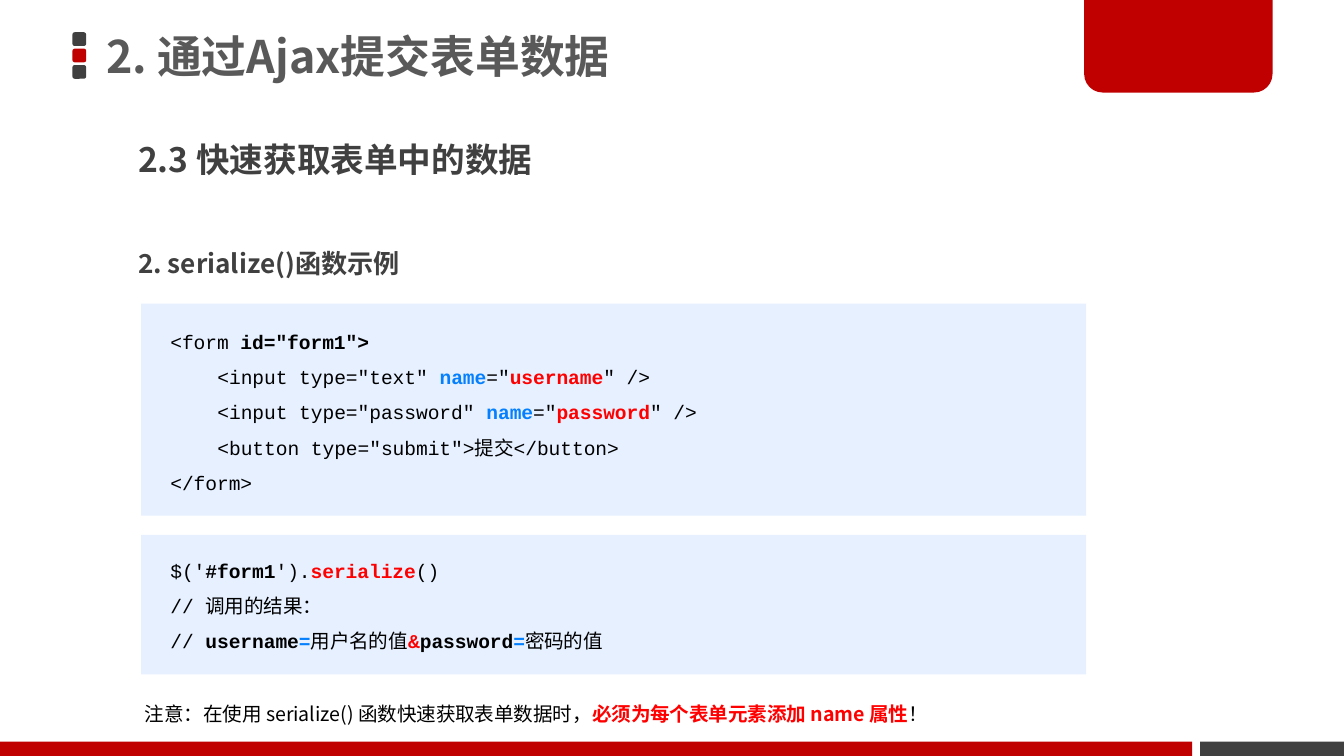
from dataclasses import dataclass

from lxml import etree
from pptx import Presentation
from pptx.dml.color import RGBColor
from pptx.enum import shapes, text
from pptx.oxml.ns import qn
from pptx.util import Cm, Pt


@dataclass(frozen=True)
class Theme:
    red: str = "C00000"
    dark: str = "404040"
    gray: str = "595959"
    pale: str = "E6F0FF"
    black: str = "000000"
    blue: str = "047FFD"
    alert: str = "FF0000"
    sans: str = "Noto Sans CJK SC"
    mono: str = "Courier New"
    title: float = 24
    sub: float = 18
    head: float = 14
    body: float = 10.5


class Deck:
    def __init__(self, theme):
        self.theme = theme
        self.prs = Presentation()
        self.prs.slide_width, self.prs.slide_height = Cm(25.4), Cm(14.29)
        self.slide = self.prs.slides.add_slide(self.prs.slide_layouts[5])

    def block(self, kind, box, color, *adjust):
        shape = self.slide.shapes.add_shape(kind, *map(Cm, box))
        shape.shadow.inherit = False
        shape.fill.solid()
        shape.fill.fore_color.rgb = RGBColor.from_string(color)
        shape.line.fill.background()
        for i, value in enumerate(adjust):
            shape.adjustments[i] = value

    def run(self, para, words, size, font, color, bold):
        run = para.add_run()
        run.text = words
        run.font.size, run.font.bold, run.font.name = Pt(size), bold, font
        run.font.color.rgb = RGBColor.from_string(color)
        # East Asian glyphs always use the sans face
        face = etree.SubElement(run.font._element, qn("a:ea"))
        face.set("typeface", self.theme.sans)

    def fill(self, shape, lines, size, font, space, before=0):
        """Each line is (indent in cm, [(words, color, bold), ...])."""
        frame = shape.text_frame
        frame.word_wrap = True
        frame.auto_size = text.MSO_AUTO_SIZE.NONE
        for i, (indent, runs) in enumerate(lines):
            para = frame.add_paragraph() if i else frame.paragraphs[0]
            para.alignment = text.PP_ALIGN.LEFT
            para.line_spacing, para.space_before = space, Pt(before)
            if indent:
                para._p.get_or_add_pPr().set("marL", str(Cm(indent)))
            for words, color, bold in runs:
                self.run(para, words, size, font, color, bold)

    def title(self, box, words):
        shape = self.slide.shapes.title
        shape.left, shape.top, shape.width, shape.height = map(Cm, box)
        shape.text_frame.vertical_anchor = text.MSO_ANCHOR.MIDDLE
        line = (0, [(words, self.theme.gray, True)])
        self.fill(shape, [line], self.theme.title, self.theme.sans, 0.9)

    def label(self, box, lines, size, font, space, before=0):
        shape = self.slide.shapes.add_textbox(*map(Cm, box))
        self.fill(shape, lines, size, font, space, before)

    def head(self, box, words, size):
        line = (0, [(words, self.theme.dark, True)])
        self.label(box, [line], size, self.theme.sans, 0.9, 7.5)

    def code(self, top, height, inset, lines):
        self.block(shapes.MSO_SHAPE.RECTANGLE, (2.67, top, 17.86, height), self.theme.pale)
        box = (2.97, top + inset, 18.11, height - 0.43)
        self.label(box, lines, self.theme.body, self.theme.mono, 1.5)


def main():
    t = Theme()
    deck = Deck(t)
    kind = shapes.MSO_SHAPE

    # Runs by role
    def plain(words):
        return words, t.black, False

    def strong(words):
        return words, t.black, True

    def key(words):
        return words, t.blue, True

    def hot(words):
        return words, t.alert, True

    def field(sort, name):
        return [plain(f'<input type="{sort}" '), key("name"), plain('="'),
                hot(name), plain('" />')]

    # Frame: title dots, corner tab, bottom bars
    for i, color in enumerate((t.dark, t.red, t.dark)):
        deck.block(kind.ROUNDED_RECTANGLE, (1.37, 0.61 + 0.31 * i, 0.26, 0.26), color, 0.17)
    deck.block(kind.ROUND_2_SAME_RECTANGLE, (20.49, 0, 3.56, 1.75), t.red, 0, 0.2)
    deck.block(kind.RECTANGLE, (0, 14.02, 22.53, 0.27), t.red)
    deck.block(kind.RECTANGLE, (22.68, 14.02, 2.72, 0.27), t.dark)

    # Headings
    deck.title((1.75, 0, 18.72, 2.21), "2. 通过Ajax提交表单数据")
    deck.head((2.36, 2.59, 18.11, 1.5), "2.3 快速获取表单中的数据", t.sub)
    deck.head((2.36, 4.62, 18.03, 0.79), "2. serialize()函数示例", t.head)

    # Form markup, nested by four characters
    step = 0.89
    deck.code(5.74, 4.01, 0.15, [
        (0, [plain("<form "), strong('id="form1">')]),
        (step, field("text", "username")),
        (step, field("password", "password")),
        (step, [plain('<button type="submit">提交</button>')]),
        (0, [plain("</form>")]),
    ])

    # Call and its result
    deck.code(10.11, 2.64, 0.1, [
        (0, [plain("$('"), strong("#form1"), plain("')."), hot("serialize"), plain("()")]),
        (0, [plain("// 调用的结果：")]),
        (0, [plain("// "), strong("username"), key("="), plain("用户名的值"),
             hot("&"), strong("password"), key("="), plain("密码的值")]),
    ])

    # Note
    note = [plain("注意：在使用 serialize() 函数快速获取表单数据时，"),
            hot("必须为每个表单元素添加 name 属性"), plain("！")]
    deck.label((2.49, 12.93, 18.72, 1.17), [(0, note)], t.body, t.sans, 1.5, 7.5)

    deck.prs.save("out.pptx")


if __name__ == "__main__":
    main()
